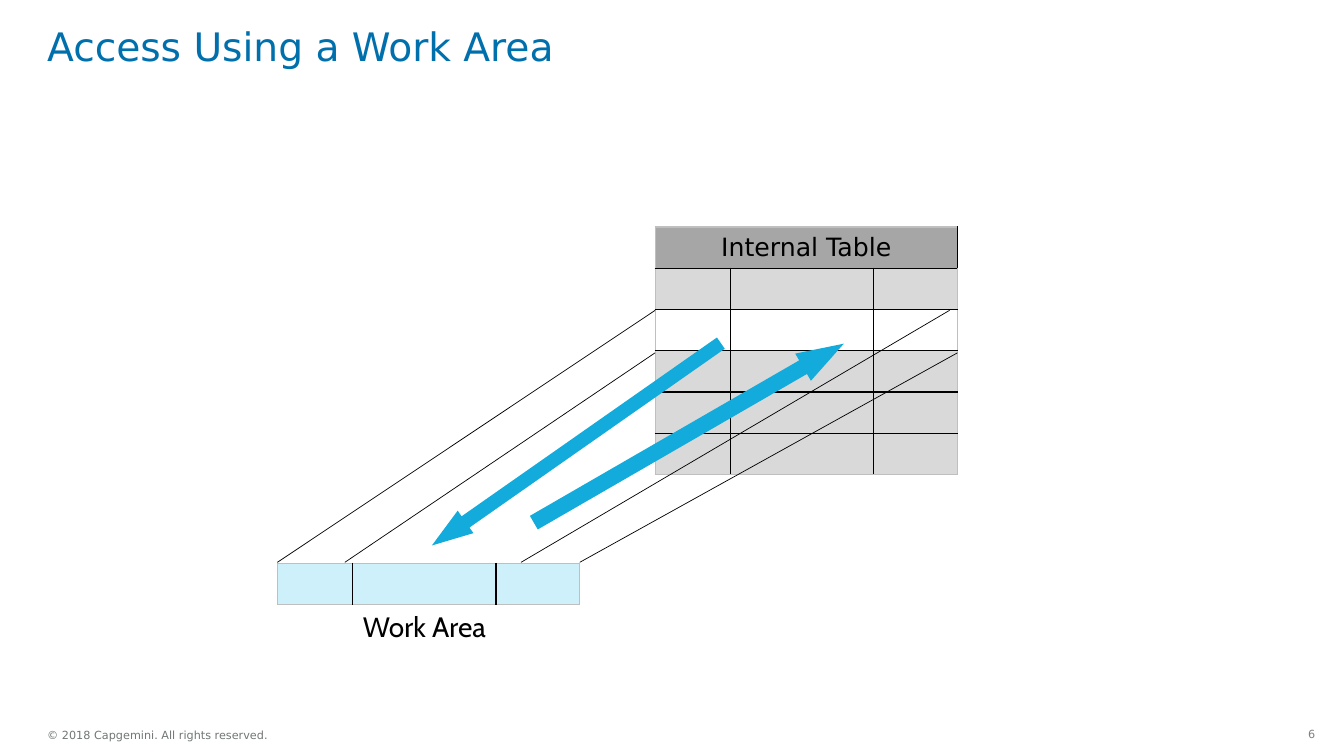
from dataclasses import dataclass

import pptx
import pptx.dml.color
import pptx.enum.shapes
import pptx.enum.text
import pptx.oxml
import pptx.oxml.ns
import pptx.util
from pptx.util import Cm

ALIGN = pptx.enum.text.PP_ALIGN
ANCHOR = pptx.enum.text.MSO_ANCHOR
SANS = "DejaVu Sans"
BLACK = "000000"
WIDTHS = (1.9, 3.61, 2.11)
ROW = 1.04


@dataclass
class Label:
    text: str
    left: float
    top: float
    width: float
    height: float
    size: int
    color: str
    font: str = SANS
    align: ALIGN = ALIGN.LEFT
    anchor: ANCHOR = ANCHOR.TOP
    inset: bool = False
    wrap: bool = True
    pitch: int | None = None


@dataclass
class Grid:
    left: float
    top: float
    fills: tuple[str, ...]
    title: str = ""


@dataclass
class Ray:
    x1: float
    y1: float
    x2: float
    y2: float


@dataclass
class Arrow:
    left: float
    top: float
    width: float
    height: float
    turn: int


LABELS = (
    Label("Access Using a Work Area", 1.19, 0.69, 21.82, 2.39, 28, "0070AD", pitch=30),
    Label("Work Area", 7.62, 15.24, 6.15, 1.12, 20, BLACK, "Cabin", ALIGN.CENTER, inset=True),
    Label("© 2018 Capgemini. All rights reserved.", 1.19, 18.21, 6.17, 0.61, 8, "717676",
          anchor=ANCHOR.MIDDLE, wrap=False),
    Label("6", 32.41, 18.21, 0.99, 0.61, 8, "808080", align=ALIGN.RIGHT, inset=True, wrap=False),
)
GRIDS = (
    Grid(16.51, 5.72, ("A6A6A6", "D9D9D9", "FFFFFF", "D9D9D9", "D9D9D9", "D9D9D9"),
         "Internal Table"),
    Grid(6.99, 14.2, ("CDF0FB",)),
)
RAYS = (
    Ray(16.51, 7.82, 6.99, 14.17),
    Ray(16.51, 8.89, 8.69, 14.17),
    Ray(23.93, 7.82, 13.13, 14.17),
    Ray(24.13, 8.89, 14.61, 14.17),
)
ARROWS = (
    Arrow(12.85, 10.52, 9.02, 0.79, 330),
    Arrow(10.08, 10.85, 8.89, 0.69, 145),
)


def color(code: str) -> pptx.dml.color.RGBColor:
    return pptx.dml.color.RGBColor.from_string(code)


def style(para, size: int, code: str, font: str, align: ALIGN) -> None:
    para.alignment = align
    para.font.size = pptx.util.Pt(size)
    para.font.name = font
    para.font.color.rgb = color(code)


def add_label(slide, item: Label) -> None:
    box = slide.shapes.add_textbox(Cm(item.left), Cm(item.top), Cm(item.width), Cm(item.height))
    frame = box.text_frame
    frame.word_wrap = item.wrap
    frame.vertical_anchor = item.anchor
    if not item.inset:
        frame.margin_left = frame.margin_right = 0
        frame.margin_top = frame.margin_bottom = 0
    frame.text = item.text
    para = frame.paragraphs[0]
    if item.pitch:
        para.line_spacing = pptx.util.Pt(item.pitch)
    style(para, item.size, item.color, item.font, item.align)


def add_edge(cell, side: str, code: str) -> None:
    cell._tc.get_or_add_tcPr().append(pptx.oxml.parse_xml(
        f'<a:ln{side} {pptx.oxml.ns.nsdecls("a")} w="12700"><a:solidFill>'
        f'<a:srgbClr val="{code}"/></a:solidFill></a:ln{side}>'))


def add_grid(slide, item: Grid) -> None:
    rows, cols = len(item.fills), len(WIDTHS)
    frame = slide.shapes.add_table(rows, cols, Cm(item.left), Cm(item.top),
                                   Cm(sum(WIDTHS)), Cm(ROW * rows))
    table = frame.table
    table.first_row = table.horz_banding = False
    for col, width in zip(table.columns, WIDTHS):
        col.width = Cm(width)
    for r, fill in enumerate(item.fills):
        table.rows[r].height = Cm(ROW)
        for c in range(cols):
            cell = table.cell(r, c)
            outer = {"L": c == 0, "R": c == cols - 1, "T": r == 0, "B": r == rows - 1}
            for side, edge in outer.items():
                add_edge(cell, side, "BFBFBF" if edge else BLACK)
            cell.fill.solid()
            cell.fill.fore_color.rgb = color(fill)
            cell.margin_top = cell.margin_bottom = Cm(0.1)
    if item.title:
        head = table.cell(0, 0)
        head.merge(table.cell(0, cols - 1))
        head.text = item.title
        style(head.text_frame.paragraphs[0], 18, BLACK, SANS, ALIGN.CENTER)
        head.vertical_anchor = ANCHOR.MIDDLE


def add_ray(slide, item: Ray) -> None:
    line = slide.shapes.add_connector(pptx.enum.shapes.MSO_CONNECTOR.STRAIGHT,
                                      Cm(item.x1), Cm(item.y1), Cm(item.x2), Cm(item.y2))
    line.line.color.rgb = color(BLACK)
    line.line.width = pptx.util.Pt(0.5)
    line._element.spPr.append(pptx.oxml.parse_xml(
        f'<a:effectLst {pptx.oxml.ns.nsdecls("a")}/>'))


def add_arrow(slide, item: Arrow) -> None:
    shape = slide.shapes.add_shape(pptx.enum.shapes.MSO_SHAPE.RIGHT_ARROW, Cm(item.left),
                                   Cm(item.top), Cm(item.width), Cm(item.height))
    shape.adjustments[0] = 0.5
    shape.adjustments[1] = 1.5
    shape.rotation = item.turn
    shape.shadow.inherit = False
    shape.fill.solid()
    shape.fill.fore_color.rgb = color("12ABDB")
    shape.line.fill.background()


def main() -> None:
    deck = pptx.Presentation()
    deck.slide_width, deck.slide_height = Cm(33.87), Cm(19.05)
    slide = deck.slides.add_slide(deck.slide_layouts[6])
    for grid in GRIDS:
        add_grid(slide, grid)
    for ray in RAYS:
        add_ray(slide, ray)
    for arrow in ARROWS:
        add_arrow(slide, arrow)
    for label in LABELS:
        add_label(slide, label)
    deck.save("out.pptx")


if __name__ == "__main__":
    main()
